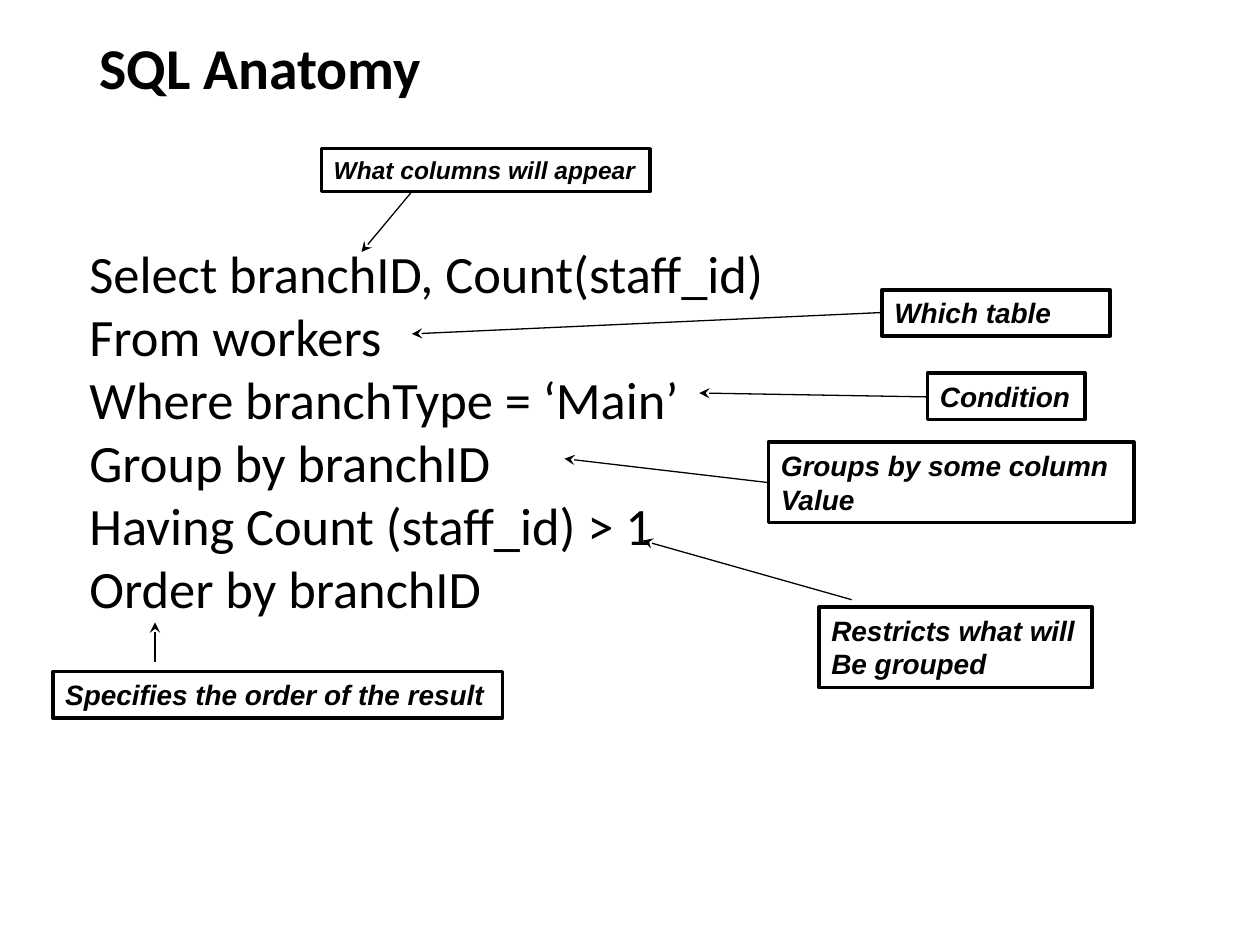
"""Build the SQL Anatomy slide: a query with a labelled callout for each clause."""
from dataclasses import dataclass

from lxml import etree
from pptx import Presentation
from pptx.dml.color import RGBColor
from pptx.enum.shapes import MSO_CONNECTOR, MSO_SHAPE
from pptx.enum.text import MSO_ANCHOR, PP_ALIGN
from pptx.oxml.ns import qn
from pptx.util import Pt

RECTANGLE = MSO_SHAPE.RECTANGLE
STRAIGHT = MSO_CONNECTOR.STRAIGHT
TOP, MIDDLE = MSO_ANCHOR.TOP, MSO_ANCHOR.MIDDLE
LEFT = PP_ALIGN.LEFT


@dataclass(frozen=True)
class Theme:
    ink: RGBColor = RGBColor(0, 0, 0)
    paper: RGBColor = RGBColor(255, 255, 255)
    body_font: str = "Calibri"
    label_font: str = "Arial"
    title_size: float = 33
    query_size: float = 30
    query_pitch: float = 36
    label_size: float = 16
    small_label_size: float = 14
    border: float = 2
    arrow: float = 0.75


THEME = Theme()

QUERY = [
    "Select branchID, Count(staff_id)",
    "From workers",
    "Where branchType = ‘Main’",
    "Group by branchID",
    "Having Count (staff_id) > 1",
    "Order by branchID",
]

CALLOUTS = [
    (["What columns will appear"], (183.6, 85, 187.9, 24.5), THEME.small_label_size),
    (["Which table"], (504, 165.6, 130.3, 26.6), THEME.label_size),
    (["Condition"], (530, 213.1, 90, 26.6), THEME.label_size),
    (["Groups by some column", "Value"], (439.2, 252.7, 208.8, 46), THEME.label_size),
    (["Restricts what will", "Be grouped"], (468, 347, 156.2, 46), THEME.label_size),
    (["Specifies the order of the result"], (30.2, 383.8, 257, 26.6), THEME.label_size),
]

ARROWS = [
    ((235.4, 109.5), (206.6, 144)),
    ((504, 178.6), (235.4, 190.8)),
    ((530, 226.8), (399.6, 224.6)),
    ((439.2, 275.8), (322.6, 262.1)),
    ((486.7, 342.7), (367.2, 308.9)),
    ((88.6, 378), (88.6, 355.7)),
]


def points(*lengths):
    """Turn plain numbers into point lengths."""
    return [Pt(length) for length in lengths]


def write_text(holder, lines, *, font, size, bold=False, italic=False,
               anchor=TOP, spacing=None, indent=7.2):
    """Fill a shape with one formatted paragraph per line."""
    frame = holder.text_frame
    frame.word_wrap = True
    frame.vertical_anchor = anchor
    frame.margin_left, frame.margin_right = points(indent, 7.2)
    frame.margin_top, frame.margin_bottom = points(3.6, 3.6)
    frame.text = "\n".join(lines)
    for paragraph in frame.paragraphs:
        paragraph.alignment = LEFT
        paragraph.line_spacing = spacing
        for run in paragraph.runs:
            run.font.name = font
            run.font.size = Pt(size)
            run.font.bold = bold
            run.font.italic = italic
            run.font.color.rgb = THEME.ink


def add_text(slide, lines, box, **text_format):
    """Add a free text box."""
    write_text(slide.shapes.add_textbox(*points(*box)), lines, **text_format)


def add_callout(slide, lines, box, size):
    """Add a bordered label."""
    callout = slide.shapes.add_shape(RECTANGLE, *points(*box))
    callout.shadow.inherit = False
    callout.fill.solid()
    callout.fill.fore_color.rgb = THEME.paper
    callout.line.color.rgb = THEME.ink
    callout.line.width = Pt(THEME.border)
    write_text(callout, lines, font=THEME.label_font, size=size, bold=True, italic=True)


def add_arrow(slide, start, tip):
    """Add a thin line with a stealth head at its tip."""
    arrow = slide.shapes.add_connector(STRAIGHT, *points(*start, *tip))
    arrow.line.color.rgb = THEME.ink
    arrow.line.width = Pt(THEME.arrow)
    etree.SubElement(arrow.line._get_or_add_ln(), qn("a:tailEnd"), type="stealth")
    etree.SubElement(arrow._element.spPr, qn("a:effectLst"))


def main():
    """Compose and save the slide."""
    deck = Presentation()
    deck.slide_width, deck.slide_height = points(720, 540)
    slide = deck.slides.add_slide(deck.slide_layouts[6])
    add_text(slide, ["SQL Anatomy"], (49.7, 7.9, 620.6, 65.5), font=THEME.body_font,
             size=THEME.title_size, bold=True, anchor=MIDDLE, spacing=0.9)
    add_text(slide, QUERY, (8.6, 133.9, 658, 340.3), font=THEME.body_font,
             size=THEME.query_size, spacing=Pt(THEME.query_pitch), indent=42.5)
    for lines, box, size in CALLOUTS:
        add_callout(slide, lines, box, size)
    for start, tip in ARROWS:
        add_arrow(slide, start, tip)
    deck.save("out.pptx")


if __name__ == "__main__":
    main()
